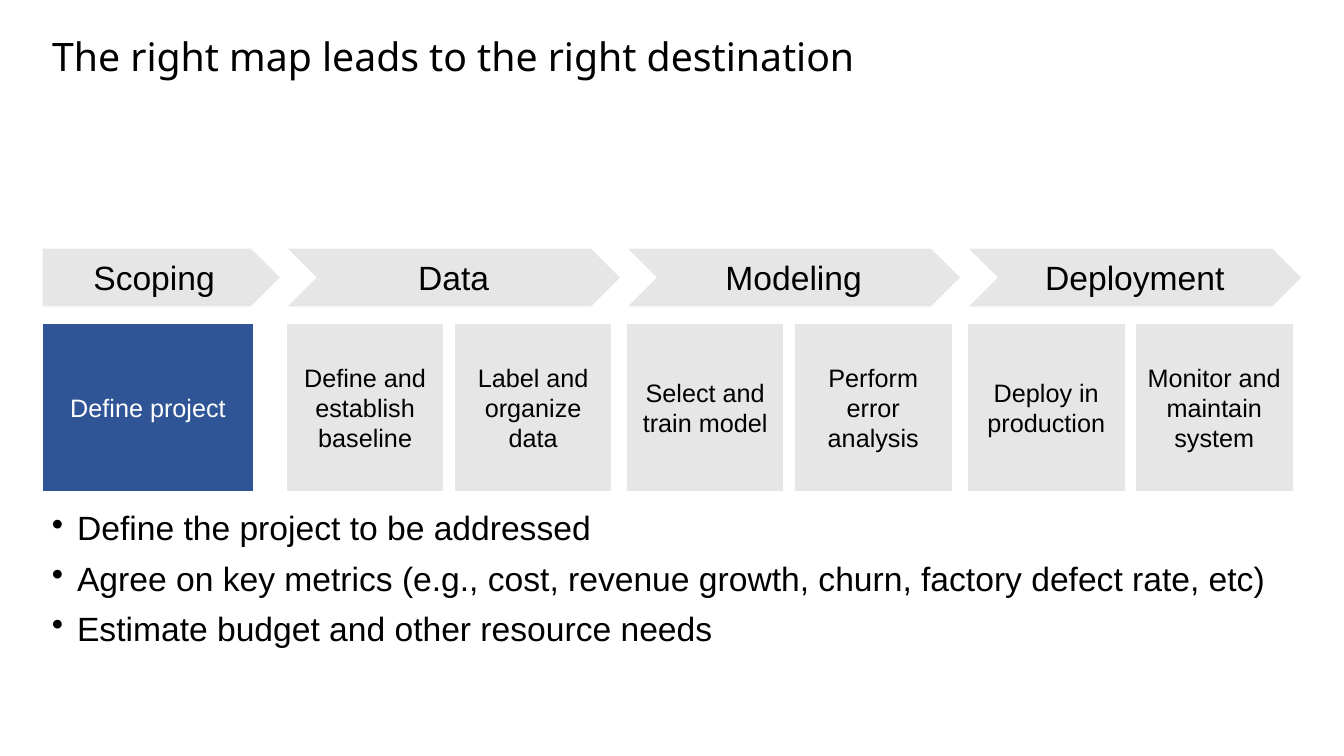
from lxml import etree
from pptx import Presentation
from pptx.dml.color import RGBColor
from pptx.enum.shapes import MSO_SHAPE
from pptx.enum.text import MSO_ANCHOR, MSO_AUTO_SIZE, PP_ALIGN
from pptx.oxml.ns import qn
from pptx.util import Inches, Pt

PIXEL = Inches(1) / 100.8
BLACK = RGBColor(0x00, 0x00, 0x00)
WHITE = RGBColor(0xFF, 0xFF, 0xFF)
GRAY = RGBColor(0xE7, 0xE6, 0xE6)
BLUE = RGBColor(0x2F, 0x55, 0x97)

LEFT, WIDTH = 42, 1260
ARROW_TOP, ARROW_HIGH = 248, 59
STEP_TOP, STEP_HIGH = 323, 169
STEP_WIDE, STEP_PITCH = 158, 168
STAGES = [
    ("Data", ["Define and establish baseline", "Label and organize data"]),
    ("Modeling", ["Select and train model", "Perform error analysis"]),
    ("Deployment", ["Deploy in production", "Monitor and maintain system"]),
]
POINTS = [
    "Define the project to be addressed",
    "Agree on key metrics (e.g., cost, revenue growth, churn, factory defect rate, etc)",
    "Estimate budget and other resource needs",
]


def scale(*pixels):
    """Turn pixel lengths into EMU."""
    return [round(pixel * PIXEL) for pixel in pixels]


def add_box(parent, kind, place, text, size, fill=GRAY, color=BLACK):
    """Add a filled shape with centred text to a shape collection."""
    box = parent.add_shape(kind, *scale(*place))
    box.shadow.inherit = False
    box.fill.solid()
    box.fill.fore_color.rgb = fill
    box.line.color.rgb = WHITE
    box.line.width = Pt(1)
    frame = box.text_frame
    frame.word_wrap = True
    frame.vertical_anchor = MSO_ANCHOR.MIDDLE
    para = frame.paragraphs[0]
    para.text = text
    para.alignment = PP_ALIGN.CENTER
    para.font.name = "Arial"
    para.font.size = Pt(size)
    para.font.color.rgb = color


deck = Presentation()
deck.slide_width, deck.slide_height = Inches(13.33), Inches(7.5)
slide = deck.slides.add_slide(deck.slide_layouts[5])
shapes = slide.shapes

# Title
title = shapes.title
title.left, title.top, title.width, title.height = scale(LEFT, 33, WIDTH, 101)
frame = title.text_frame
frame.text = "The right map leads to the right destination"
frame.word_wrap = True
frame.auto_size = MSO_AUTO_SIZE.NONE
frame.vertical_anchor = MSO_ANCHOR.TOP
para = frame.paragraphs[0]
para.alignment = PP_ALIGN.LEFT
para.line_spacing = 0.9
para.font.name = "Noto Sans"
para.font.size = Pt(28)
para.font.color.rgb = BLACK

# Scoping, the stage in focus
add_box(shapes, MSO_SHAPE.PENTAGON, (LEFT, ARROW_TOP, 239, ARROW_HIGH), "Scoping", 24)
add_box(shapes, MSO_SHAPE.RECTANGLE, (LEFT, STEP_TOP, 212, STEP_HIGH),
        "Define project", 18, BLUE, WHITE)

# Later stages, each with a pair of steps
for index, (stage, steps) in enumerate(STAGES):
    left = 286 + index * 681 // 2
    add_box(shapes, MSO_SHAPE.CHEVRON, (left, ARROW_TOP, 335, ARROW_HIGH), stage, 24)
    pair = shapes.add_group_shape()
    for order, step in enumerate(steps):
        place = (left + order * STEP_PITCH, STEP_TOP, STEP_WIDE, STEP_HIGH)
        add_box(pair.shapes, MSO_SHAPE.RECTANGLE, place, step, 18)

# Bullet points
body = shapes.add_textbox(*scale(LEFT, 507, WIDTH, 195))
frame = body.text_frame
frame.word_wrap = True
for index, point in enumerate(POINTS):
    para = frame.add_paragraph() if index else frame.paragraphs[0]
    para.text = point
    para.line_spacing = 0.9
    para.space_before = Pt(10)
    para.font.name = "Arial"
    para.font.size = Pt(24)
    para.font.color.rgb = BLACK
    props = para._p.get_or_add_pPr()
    props.set("marL", str(Inches(0.25)))
    props.set("indent", str(-Inches(0.25)))
    bullet = etree.Element(qn("a:buChar"), char="•")
    props.insert_element_before(bullet, "a:tabLst", "a:defRPr", "a:extLst")

deck.save("out.pptx")
